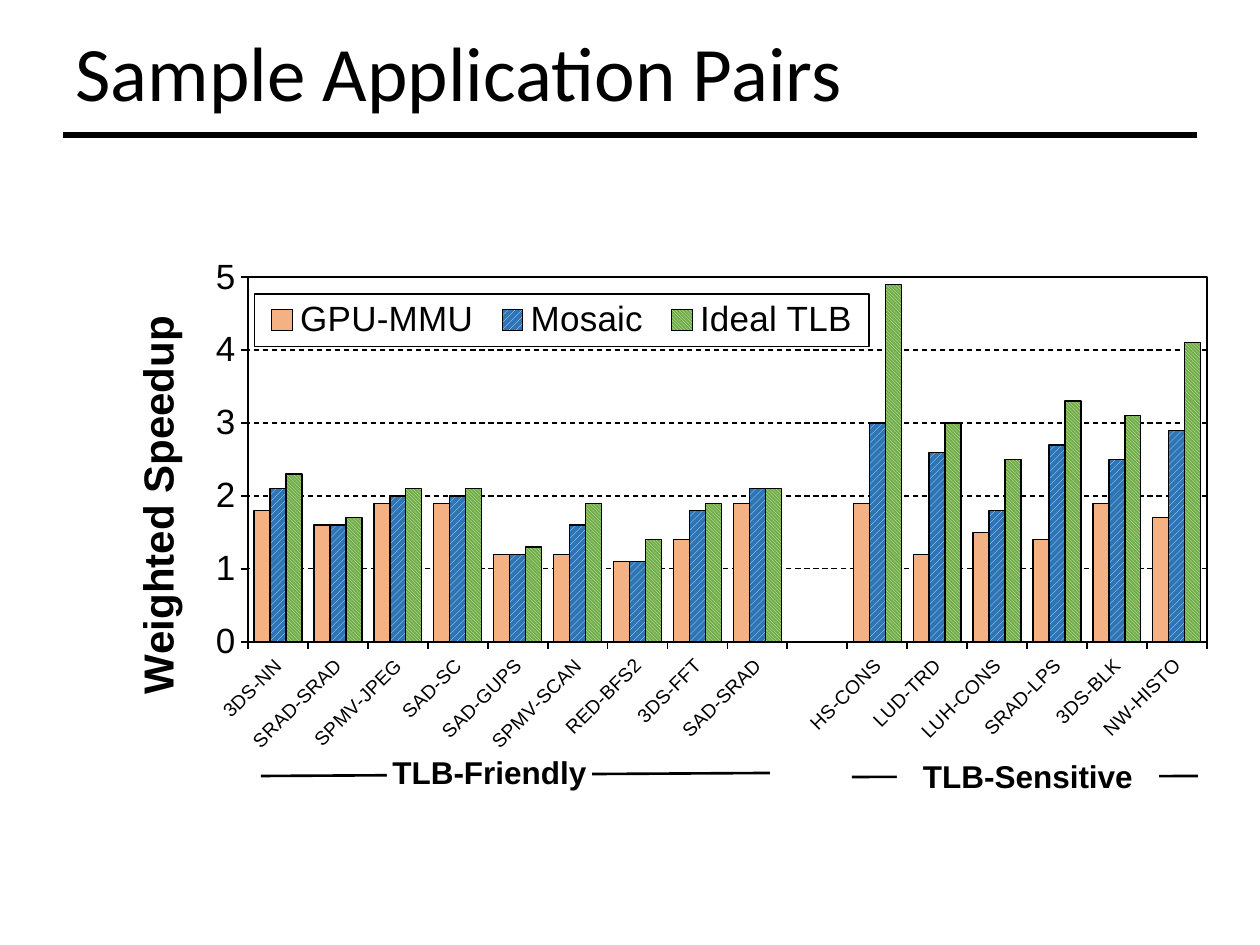
import pptx
import pptx.chart.data
import pptx.dml.color
import pptx.enum.chart
import pptx.enum.dml
import pptx.enum.shapes
import pptx.enum.text
import pptx.oxml
import pptx.oxml.ns
import pptx.util
from dataclasses import dataclass

PX = 914400 / 126
PATTERN = pptx.enum.dml.MSO_PATTERN


@dataclass(frozen=True)
class Theme:
    """Colours, fonts and type sizes of the slide."""
    ink: str = "000000"
    paper: str = "FFFFFF"
    title_font: str = "Calibri"
    chart_font: str = "Arial"
    title: int = 44
    axis_title: int = 24
    values: int = 20
    group: int = 18
    categories: int = 11


THEME = Theme()

CATEGORIES = [
    "3DS-NN", "SRAD-SRAD", "SPMV-JPEG", "SAD-SC", "SAD-GUPS", "SPMV-SCAN",
    "RED-BFS2", "3DS-FFT", "SAD-SRAD", "", "HS-CONS", "LUD-TRD", "LUH-CONS",
    "SRAD-LPS", "3DS-BLK", "NW-HISTO",
]
SERIES = [
    ("GPU-MMU", None, "F4B183", None,
     [1.8, 1.6, 1.9, 1.9, 1.2, 1.2, 1.1, 1.4, 1.9, None, 1.9, 1.2, 1.5, 1.4, 1.9, 1.7]),
    ("Mosaic", PATTERN.WIDE_UPWARD_DIAGONAL, "DEEBF7", "2E75B6",
     [2.1, 1.6, 2, 2, 1.2, 1.6, 1.1, 1.8, 2.1, None, 3, 2.6, 1.8, 2.7, 2.5, 2.9]),
    ("Ideal TLB", PATTERN.DARK_DOWNWARD_DIAGONAL, "E2F0D9", "70AD47",
     [2.3, 1.7, 2.1, 2.1, 1.3, 1.9, 1.4, 1.9, 2.1, None, 4.9, 3, 2.5, 3.3, 3.1, 4.1]),
]
GROUPS = [
    ("TLB-Friendly", (261, 776, 770, 773), (387, 753, 205, 38)),
    ("TLB-Sensitive", (852, 777, 1198, 776), (897, 757, 262, 38)),
]


def px(n):
    """Turn pixels into EMU."""
    return pptx.util.Emu(round(n * PX))


def rgb(color):
    """Turn a hex string into a colour."""
    return pptx.dml.color.RGBColor.from_string(color)


def set_font(font, size, name=THEME.chart_font, bold=False):
    """Format a font in the ink colour."""
    font.size, font.name, font.bold = pptx.util.Pt(size), name, bold
    font.color.rgb = rgb(THEME.ink)


def set_text(tf, text, align=None, spacing=None, **font):
    """Write one formatted paragraph into a text frame."""
    p = tf.paragraphs[0]
    p.alignment, p.line_spacing = align, spacing
    r = p.add_run()
    r.text = text
    set_font(r.font, **font)


def set_line(line, width):
    """Give a line the ink colour and a width."""
    line.color.rgb = rgb(THEME.ink)
    line.width = pptx.util.Pt(width)


def add_title(s, text, box):
    """Place and fill the title placeholder."""
    sp = s.shapes.title
    sp.left, sp.top, sp.width, sp.height = map(px, box)
    sp.text_frame.vertical_anchor = pptx.enum.text.MSO_ANCHOR.MIDDLE
    set_text(sp.text_frame, text, align=pptx.enum.text.PP_ALIGN.LEFT, spacing=0.9,
             size=THEME.title, name=THEME.title_font)


def add_rule(s, ends, width):
    """Draw a straight line without shadow."""
    c = s.shapes.add_connector(pptx.enum.shapes.MSO_CONNECTOR.STRAIGHT, *map(px, ends))
    set_line(c.line, width)
    c.element.spPr.append(pptx.oxml.parse_xml(
        f'<a:effectLst {pptx.oxml.ns.nsdecls("a")}/>'))


def add_group(s, text, ends, box):
    """Draw a group line with its label over the middle."""
    add_rule(s, ends, 1.5)
    sp = s.shapes.add_shape(pptx.enum.shapes.MSO_SHAPE.RECTANGLE, *map(px, box))
    sp.shadow.inherit = False
    sp.fill.solid()
    sp.fill.fore_color.rgb = rgb(THEME.paper)
    sp.line.fill.background()
    tf = sp.text_frame
    tf.word_wrap = False
    tf.margin_left = tf.margin_right = px(5)
    tf.margin_top = tf.margin_bottom = 0
    set_text(tf, text, align=pptx.enum.text.PP_ALIGN.CENTER, size=THEME.group, bold=True)


def set_layout(parent, index, box, inner=False):
    """Fix a chart part at fractions of the chart's size."""
    for old in parent.xpath("./c:layout"):
        parent.remove(old)
    target = '<c:layoutTarget val="inner"/>' if inner else ""
    modes = "".join(f'<c:{k}Mode val="edge"/>' for k in "xy")
    sizes = "".join(f'<c:{k} val="{v}"/>' for k, v in zip("xywh", box))
    parent.insert(index, pptx.oxml.parse_xml(
        f'<c:layout {pptx.oxml.ns.nsdecls("c")}><c:manualLayout>{target}{modes}{sizes}'
        '</c:manualLayout></c:layout>'))


def frame_xml(fill):
    """Make the frame properties of a chart part."""
    return pptx.oxml.parse_xml(
        f'<c:spPr {pptx.oxml.ns.nsdecls("c", "a")}>{fill}<a:ln w="12700"><a:solidFill>'
        f'<a:srgbClr val="{THEME.ink}"/></a:solidFill></a:ln></c:spPr>')


def format_series(series, pattern, fore, back):
    """Fill and outline the bars of one series."""
    fill = series.format.fill
    if pattern is None:
        fill.solid()
    else:
        fill.patterned()
        fill.pattern = pattern
        fill.back_color.rgb = rgb(back)
    fill.fore_color.rgb = rgb(fore)
    series.invert_if_negative = False
    set_line(series.format.line, 0.75)


def format_axes(chart):
    """Format both axes, the gridlines and the axis title."""
    cat, val = chart.category_axis, chart.value_axis
    for axis, size in ((cat, THEME.categories), (val, THEME.values)):
        set_font(axis.tick_labels.font, size)
        set_line(axis.format.line, 1)
        axis.major_tick_mark = pptx.enum.chart.XL_TICK_MARK.OUTSIDE
        axis.minor_tick_mark = pptx.enum.chart.XL_TICK_MARK.NONE
    val.minimum_scale, val.maximum_scale, val.major_unit = 0, 5, 1
    val.tick_labels.number_format = "#,##0"
    val.tick_labels.number_format_is_linked = False
    grid = val.major_gridlines.format.line
    set_line(grid, 0.75)
    grid.dash_style = pptx.enum.dml.MSO_LINE.DASH
    set_text(val.axis_title.text_frame, "Weighted Speedup", size=THEME.axis_title, bold=True)
    for part, degrees in (("c:catAx/c:txPr", -45), ("c:valAx/c:title/c:tx/c:rich", -90)):
        body = chart.element.xpath(f".//{part}/a:bodyPr")[0]
        body.set("rot", str(degrees * 60000))
        body.set("vert", "horz")


def format_legend(chart):
    """Place the framed legend inside the plot."""
    chart.has_legend = True
    legend = chart.legend
    legend.position = pptx.enum.chart.XL_LEGEND_POSITION.RIGHT
    legend.include_in_layout = False
    set_font(legend.font, THEME.values)
    el = chart.element.xpath(".//c:legend")[0]
    set_layout(el, 1, (0.12, 0.09, 0.56, 0.09))
    el.xpath("./c:txPr")[0].addprevious(frame_xml(
        f'<a:solidFill><a:srgbClr val="{THEME.paper}"/></a:solidFill>'))


def add_speedup_chart(s, box):
    """Add the clustered columns of weighted speedup."""
    data = pptx.chart.data.CategoryChartData()
    data.categories = CATEGORIES
    for name, *_, values in SERIES:
        data.add_series(name, values)
    chart = s.shapes.add_chart(
        pptx.enum.chart.XL_CHART_TYPE.COLUMN_CLUSTERED, *map(px, box), data).chart
    chart.has_title = False
    set_font(chart.font, THEME.categories)
    plot = chart.plots[0]
    plot.gap_width, plot.overlap, plot.vary_by_categories = 75, 0, False
    for series, (_, pattern, fore, back, _) in zip(plot.series, SERIES):
        format_series(series, pattern, fore, back)
    format_axes(chart)
    format_legend(chart)
    area = chart.element.xpath(".//c:plotArea")[0]
    set_layout(area, 0, (0.114, 0.062, 0.874, 0.622), inner=True)
    area.append(frame_xml("<a:noFill/>"))


def main():
    """Build and save the slide."""
    prs = pptx.Presentation()
    prs.slide_width, prs.slide_height = px(1260), px(945)
    s = prs.slides.add_slide(prs.slide_layouts[5])
    add_title(s, "Sample Application Pairs", (63, 18, 1134, 117))
    add_rule(s, (63, 135, 1197, 135), 3)
    add_speedup_chart(s, (123, 241, 1097, 586))
    for group in GROUPS:
        add_group(s, *group)
    prs.save("out.pptx")


if __name__ == "__main__":
    main()
